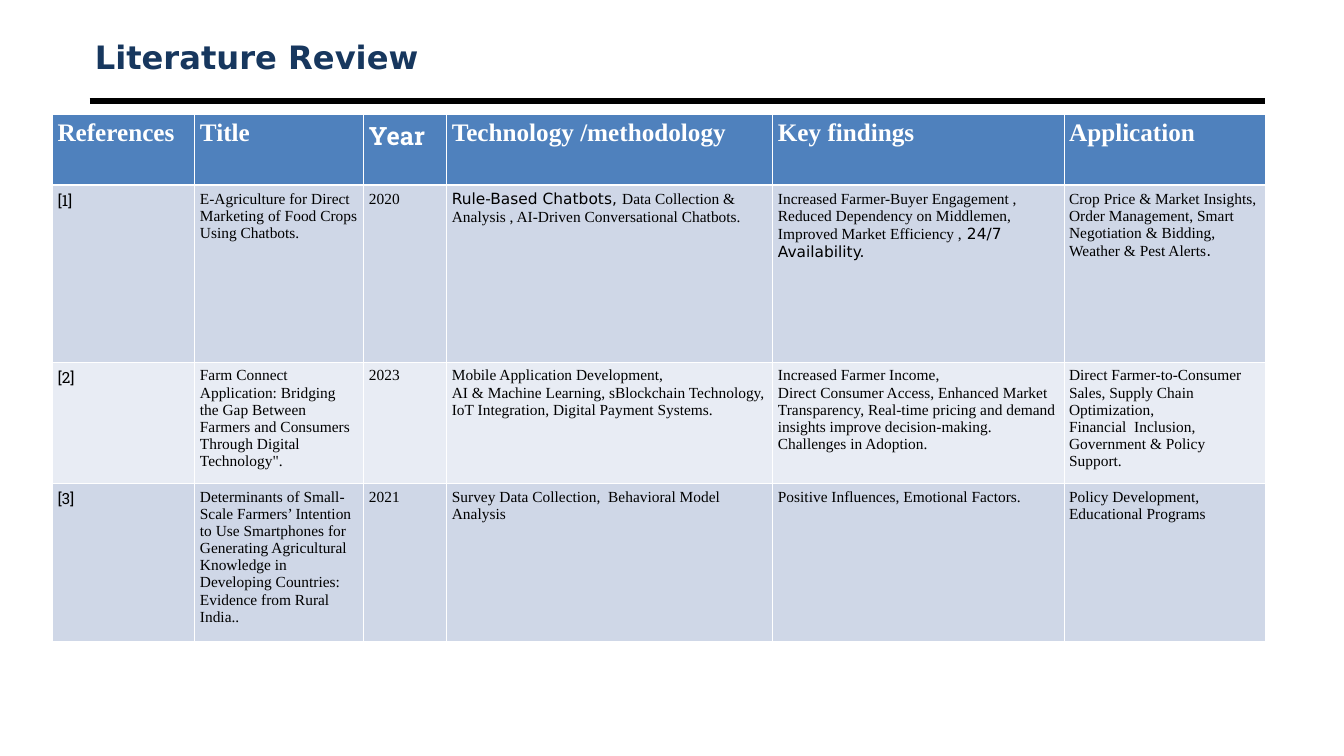
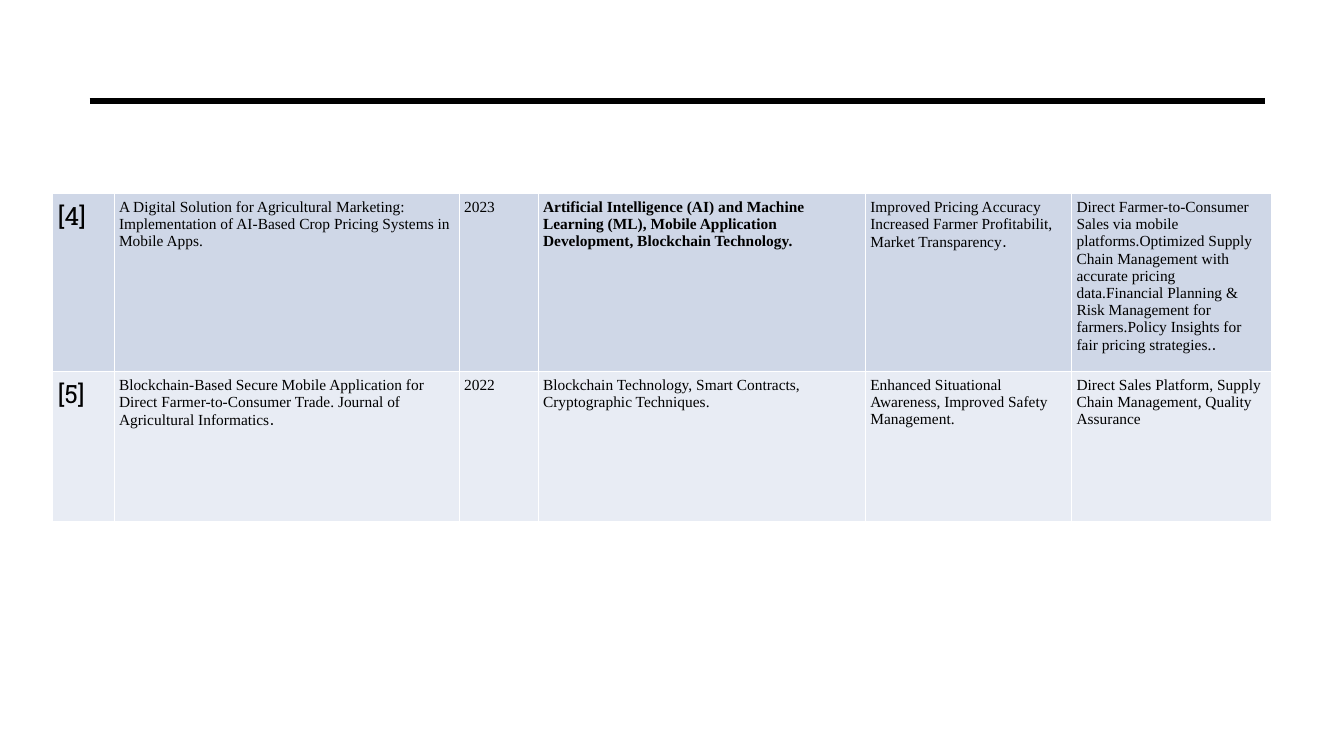
"""Build the two literature review slides."""
from dataclasses import dataclass

import pptx
import pptx.dml.color
import pptx.enum.shapes
import pptx.enum.text
import pptx.oxml
import pptx.oxml.ns
import pptx.util
from lxml import etree

Cm, Pt = pptx.util.Cm, pptx.util.Pt
qn = pptx.oxml.ns.qn


@dataclass(frozen=True)
class Theme:
    title: str = "17375E"
    header: str = "4F81BD"
    bands: tuple = ("CFD7E7", "E8ECF4")
    white: str = "FFFFFF"
    black: str = "000000"
    serif: str = "Times New Roman"
    slab: str = "Roboto Slab"
    sans: str = "DejaVu Sans"
    title_size: int = 23
    head_size: int = 18
    body_size: int = 11
    rule: float = 4.5
    thin: float = 0.45
    thick: float = 1.47
    inset: float = 0.13


THEME = Theme()
LEFT, RULE_LEFT, RULE_RIGHT, RULE_TOP = 1.32, 2.26, 31.9, 2.54

# "|" switches to and from the sans font, "\n" starts a paragraph.
SLIDES = [
    {
        "title": "Literature Review",
        "top": 2.87,
        "cols": [3.59, 4.26, 2.09, 8.22, 7.34, 5.08],
        "heights": [1.8, 4.45, 3.05, 3.97],
        "header": ["References", "Title", "Year", "Technology /methodology",
                   "Key findings", "Application"],
        "ref_size": THEME.body_size,
        "rows": [
            ["[1]",
             "E-Agriculture for Direct Marketing of Food Crops Using Chatbots.",
             "2020",
             "|Rule-Based Chatbots, |Data Collection & Analysis , "
             "AI-Driven Conversational Chatbots.",
             "Increased Farmer-Buyer Engagement , Reduced Dependency on "
             "Middlemen, Improved Market Efficiency ,| 24/7 Availability.",
             "Crop Price & Market Insights, Order Management, Smart "
             "Negotiation & Bidding,\nWeather & Pest Alerts|."],
            ["[2]",
             "Farm Connect Application: Bridging the Gap Between Farmers and "
             "Consumers Through Digital Technology\".",
             "2023",
             "Mobile Application Development,\n"
             "AI & Machine Learning, sBlockchain Technology,\n"
             "IoT Integration, Digital Payment Systems.",
             "Increased Farmer Income,\n"
             "Direct Consumer Access, Enhanced Market Transparency, Real-time "
             "pricing and demand insights improve decision-making.\n"
             "Challenges in Adoption.",
             "Direct Farmer-to-Consumer Sales, Supply Chain Optimization,\n"
             "Financial  Inclusion, Government & Policy Support."],
            ["[3]",
             "Determinants of Small-Scale Farmers’ Intention to Use Smartphones "
             "for Generating Agricultural Knowledge in Developing Countries: "
             "Evidence from Rural India..",
             "2021",
             "Survey Data Collection,  Behavioral Model Analysis",
             "Positive Influences, Emotional Factors.",
             "Policy Development, Educational Programs"],
        ],
    },
    {
        "top": 4.88,
        "cols": [1.55, 8.7, 1.99, 8.25, 5.2, 5.03],
        "heights": [4.48, 3.78],
        "ref_size": THEME.head_size,
        "bold": (0, 3),
        "rows": [
            ["[4]",
             "A Digital Solution for Agricultural Marketing: Implementation of "
             "AI-Based Crop Pricing Systems in Mobile Apps.",
             "2023",
             "Artificial Intelligence (AI) and Machine Learning (ML), Mobile "
             "Application Development, Blockchain Technology.",
             "Improved Pricing Accuracy Increased Farmer Profitabilit, "
             "Market Transparency|.",
             "Direct Farmer-to-Consumer Sales via mobile platforms.Optimized "
             "Supply Chain Management with accurate pricing data.Financial "
             "Planning & Risk Management for farmers.Policy Insights for fair "
             "pricing strategies.|."],
            ["[5]",
             "Blockchain-Based Secure Mobile Application for Direct "
             "Farmer-to-Consumer Trade. Journal of Agricultural Informatics|.",
             "2022",
             "Blockchain Technology, Smart Contracts, Cryptographic Techniques.",
             "Enhanced Situational Awareness, Improved Safety Management.",
             "Direct Sales Platform, Supply Chain Management, Quality Assurance"],
        ],
    },
]


def rgb(value):
    return pptx.dml.color.RGBColor.from_string(value)


def set_insets(box):
    box.margin_left = box.margin_right = Cm(THEME.inset)
    box.margin_top = box.margin_bottom = Cm(THEME.inset)


def write(tf, text, font, size, color, bold):
    tf.text = text.replace("|", "")
    for p, line in zip(tf.paragraphs, text.split("\n")):
        p.text = ""
        for i, part in enumerate(line.split("|")):
            if not part:
                continue
            r = p.add_run()
            r.text = part
            r.font.name = THEME.sans if i % 2 else font
            r.font.size = Pt(size)
            r.font.bold = bold
            r.font.color.rgb = rgb(color)


def set_borders(cell, top, bottom):
    tc_pr = cell._tc.get_or_add_tcPr()
    widths = {"lnL": THEME.thin, "lnR": THEME.thin, "lnT": top, "lnB": bottom}
    for i, (side, width) in enumerate(widths.items()):
        ln = etree.Element(qn(f"a:{side}"), w=str(int(Pt(width))))
        fill = etree.SubElement(ln, qn("a:solidFill"))
        etree.SubElement(fill, qn("a:srgbClr"), val=THEME.white)
        tc_pr.insert(i, ln)


def add_rule(slide):
    line = slide.shapes.add_connector(
        pptx.enum.shapes.MSO_CONNECTOR.STRAIGHT,
        Cm(RULE_LEFT), Cm(RULE_TOP), Cm(RULE_RIGHT), Cm(RULE_TOP))
    line.line.color.rgb = rgb(THEME.black)
    line.line.width = Pt(THEME.rule)
    etree.SubElement(line._element.spPr, qn("a:effectLst"))


def add_title(slide, text):
    sp = slide.shapes.add_textbox(
        Cm(RULE_LEFT), Cm(0.76), Cm(RULE_RIGHT - RULE_LEFT), Cm(1.35))
    tf = sp.text_frame
    tf.word_wrap = True
    tf.vertical_anchor = pptx.enum.text.MSO_ANCHOR.MIDDLE
    set_insets(tf)
    write(tf, text, THEME.sans, THEME.title_size, THEME.title, True)


def add_review_table(slide, data):
    has_header = "header" in data
    rows = ([data["header"]] if has_header else []) + data["rows"]
    cols, heights = data["cols"], data["heights"]
    table = slide.shapes.add_table(
        len(rows), len(cols), Cm(LEFT), Cm(data["top"]),
        Cm(sum(cols)), Cm(sum(heights))).table
    table.first_row = has_header
    for column, width in zip(table.columns, cols):
        column.width = Cm(width)
    for i, (row, height) in enumerate(zip(rows, heights)):
        table.rows[i].height = Cm(height)
        is_header = has_header and i == 0
        band = THEME.bands[(i - has_header) % 2]
        top = THEME.thick if has_header and i == 1 else THEME.thin
        bottom = THEME.thick if is_header else THEME.thin
        for j, text in enumerate(row):
            cell = table.cell(i, j)
            cell.fill.solid()
            cell.fill.fore_color.rgb = rgb(THEME.header if is_header else band)
            set_insets(cell)
            set_borders(cell, top, bottom)
            if is_header:
                font = THEME.slab if text == "Year" else THEME.serif
                style = font, THEME.head_size, THEME.white, True
            elif j == 0:
                style = THEME.slab, data["ref_size"], THEME.black, False
            else:
                bold = data.get("bold") == (i, j)
                style = THEME.serif, THEME.body_size, THEME.black, bold
            write(cell.text_frame, text, *style)


def main():
    prs = pptx.Presentation()
    prs.slide_width, prs.slide_height = Cm(33.88), Cm(19.05)
    for data in SLIDES:
        slide = prs.slides.add_slide(prs.slide_layouts[6])
        add_rule(slide)
        if "title" in data:
            add_title(slide, data["title"])
        add_review_table(slide, data)
    prs.save("out.pptx")


if __name__ == "__main__":
    main()
